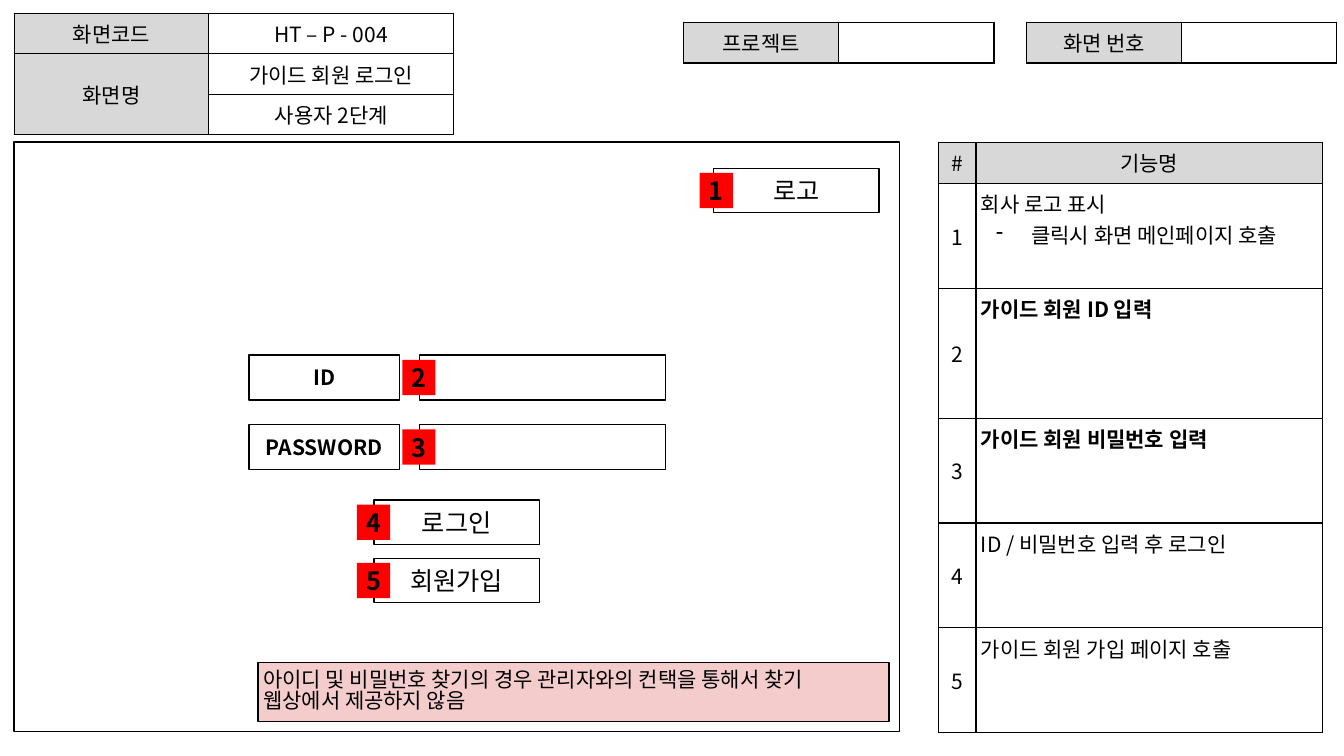
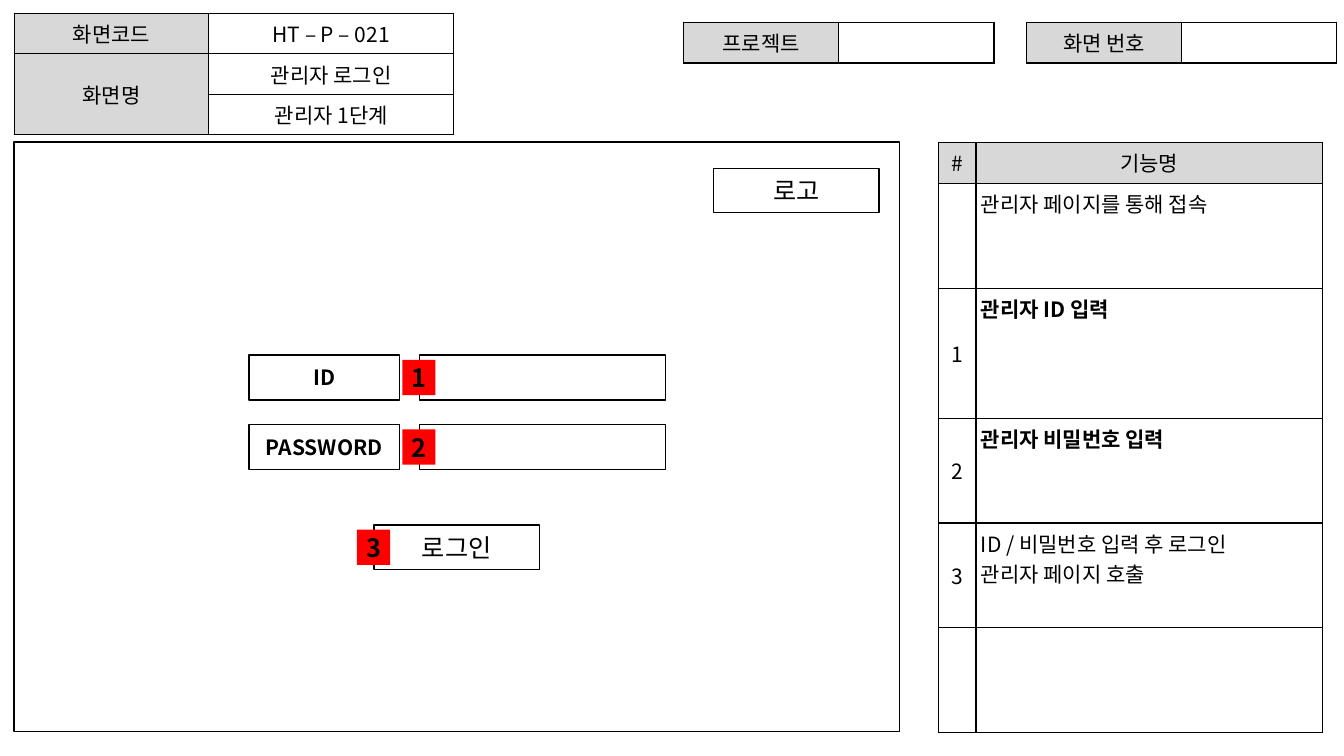
from lxml import etree
from pptx import Presentation
from pptx.dml.color import RGBColor
from pptx.enum import shapes, text
from pptx.oxml import ns
from pptx.util import Inches, Pt

FONT = "Noto Sans CJK KR"
BLACK, WHITE, GREY = "000000", "FFFFFF", "D8D8D8"
RED, PINK = "FF0000", "F4CCCC"
LEFT, CENTER = text.PP_ALIGN.LEFT, text.PP_ALIGN.CENTER
TOP, MIDDLE = text.MSO_ANCHOR.TOP, text.MSO_ANCHOR.MIDDLE
INSET = Inches(0.05)
BADGE_WIDTH, BADGE_HEIGHT = 0.33, 0.35
BUTTON_SIZE = (1.64, 0.44)
LABEL_SIZE = (1.49, 0.45)
FIELD_SIZE = (2.44, 0.45)
ID_TOP, PASSWORD_TOP = 3.52, 4.21


def write_lines(frame, lines, size=15, bold=False, align=CENTER, spacing=None):
    """Write one paragraph per line; a line starting with "- " becomes a bullet."""
    for index, line in enumerate(lines):
        paragraph = frame.add_paragraph() if index else frame.paragraphs[0]
        if line.startswith("- "):
            line = line[2:]
            props = paragraph._p.get_or_add_pPr()
            props.set("marL", str(Inches(0.5)))
            props.set("indent", str(Inches(-0.35)))
            etree.SubElement(props, ns.qn("a:buChar"), char="-")
        paragraph.alignment = align
        if spacing:
            paragraph.line_spacing = spacing
        run = paragraph.add_run()
        run.text = line
        run.font.size = Pt(size)
        run.font.bold = bold
        run.font.color.rgb = RGBColor.from_string(BLACK)
        run.font.name = FONT
        etree.SubElement(run._r.get_or_add_rPr(), ns.qn("a:ea"), typeface=FONT)


def add_box(slide, left, top, width, height, fill=WHITE, outlined=True):
    box = slide.shapes.add_shape(shapes.MSO_SHAPE.RECTANGLE, Inches(left),
                                 Inches(top), Inches(width), Inches(height))
    box.shadow.inherit = False
    box.fill.solid()
    box.fill.fore_color.rgb = RGBColor.from_string(fill)
    if outlined:
        box.line.color.rgb = RGBColor.from_string(BLACK)
        box.line.width = Pt(1)
    else:
        box.line.fill.background()
    frame = box.text_frame
    frame.word_wrap = True
    frame.vertical_anchor = MIDDLE
    frame.margin_left = frame.margin_right = INSET
    frame.margin_top = frame.margin_bottom = INSET
    return box


# Each control: left, top, size, caption, text size, bold, badge left, badge number
screens = [
    {
        "code": "HT – P - 004",
        "name": "가이드 회원 로그인",
        "step": "사용자 2단계",
        "functions": [
            ("1", ["회사 로고 표시", "- 클릭시 화면 메인페이지 호출"]),
            ("2", ["가이드 회원 ID 입력"]),
            ("3", ["가이드 회원 비밀번호 입력"]),
            ("4", ["ID / 비밀번호 입력 후 로그인"]),
            ("5", ["가이드 회원 가입 페이지 호출"]),
        ],
        "controls": [
            (7.08, 1.67, BUTTON_SIZE, "로고", 18, False, 6.94, "1"),
            (4.16, ID_TOP, FIELD_SIZE, "", 15, False, 3.99, "2"),
            (4.16, PASSWORD_TOP, FIELD_SIZE, "", 15, False, 3.99, "3"),
            (3.71, 4.96, BUTTON_SIZE, "로그인", 18, False, 3.54, "4"),
            (3.71, 5.54, BUTTON_SIZE, "회원가입", 18, False, 3.54, "5"),
        ],
        "notice": ["아이디 및 비밀번호 찾기의 경우 관리자와의 컨택을 통해서 찾기",
                   "웹상에서 제공하지 않음"],
    },
    {
        "code": "HT – P – 021",
        "name": "관리자 로그인",
        "step": "관리자 1단계",
        "functions": [
            ("", ["관리자 페이지를 통해 접속"]),
            ("1", ["관리자 ID 입력"]),
            ("2", ["관리자 비밀번호 입력"]),
            ("3", ["ID / 비밀번호 입력 후 로그인", "관리자 페이지 호출"]),
            ("", []),
        ],
        "controls": [
            (7.08, 1.67, BUTTON_SIZE, "로고", 18, False, None, ""),
            (4.16, ID_TOP, FIELD_SIZE, "", 15, False, 3.99, "1"),
            (4.16, PASSWORD_TOP, FIELD_SIZE, "", 15, False, 3.99, "2"),
            (3.71, 5.21, BUTTON_SIZE, "로그인", 18, False, 3.54, "3"),
        ],
        "notice": [],
    },
]
field_labels = [
    (2.47, ID_TOP, LABEL_SIZE, "ID", 15, True, None, ""),
    (2.47, PASSWORD_TOP, LABEL_SIZE, "PASSWORD", 15, True, None, ""),
]

deck = Presentation()
deck.slide_width, deck.slide_height = Inches(13.33), Inches(7.5)

for screen in screens:
    slide = deck.slides.add_slide(deck.slide_layouts[6])
    add_box(slide, 0.14, 1.41, 8.78, 5.85)

    heading = [(["화면코드"], [screen["code"]]),
               (["화면명"], [screen["name"]]),
               ([], [screen["step"]])]
    functions = [(["#"], ["기능명"])]
    functions += [([number] if number else [], lines)
                  for number, lines in screen["functions"]]
    tables = [
        (0.14, 0.13, (1.93, 2.43), (0.4,) * 3, heading),
        (10.18, 0.22, (1.54, 1.54), (0.4,), [(["화면 번호"], [])]),
        (6.78, 0.22, (1.54, 1.54), (0.4,), [(["프로젝트"], [])]),
        (9.31, 1.41, (0.37, 3.44), (0.41, 1.04, 1.29, 1.04, 1.04, 1.04), functions),
    ]
    for left, top, widths, heights, rows in tables:
        table = slide.shapes.add_table(
            len(rows), len(widths), Inches(left), Inches(top),
            Inches(sum(widths)), Inches(sum(heights))).table
        table.first_row = table.horz_banding = False
        for column, width in zip(table.columns, widths):
            column.width = Inches(width)
        for r, (height, row) in enumerate(zip(heights, rows)):
            table.rows[r].height = Inches(height)
            for c, lines in enumerate(row):
                cell = table.cell(r, c)
                cell.margin_left = cell.margin_right = INSET
                cell.margin_top = cell.margin_bottom = INSET
                for side in ("lnL", "lnR", "lnT", "lnB"):
                    border = etree.SubElement(cell._tc.get_or_add_tcPr(),
                                              ns.qn("a:" + side), w=str(Pt(1)))
                    paint = etree.SubElement(border, ns.qn("a:solidFill"))
                    etree.SubElement(paint, ns.qn("a:srgbClr"), val=BLACK)
                is_label = r == 0 if rows is functions else c == 0
                is_description = rows is functions and r > 0 and c == 1
                cell.fill.solid()
                cell.fill.fore_color.rgb = RGBColor.from_string(
                    GREY if is_label else WHITE)
                cell.vertical_anchor = TOP if is_description else MIDDLE
                write_lines(cell.text_frame, lines,
                            bold=is_description and r in (2, 3),
                            align=LEFT if is_description else CENTER)
        if rows is heading:
            table.cell(1, 0).merge(table.cell(2, 0))

    for (left, top, (width, height), caption, size, bold,
         badge_left, number) in field_labels + screen["controls"]:
        control = add_box(slide, left, top, width, height)
        if caption:
            write_lines(control.text_frame, [caption], size, bold)
        if number:
            badge = add_box(slide, badge_left, top + (height - BADGE_HEIGHT) / 2,
                            BADGE_WIDTH, BADGE_HEIGHT, RED, outlined=False)
            write_lines(badge.text_frame, [number], 18, True)

    if screen["notice"]:
        notice = add_box(slide, 2.56, 6.57, 6.26, 0.59, PINK)
        write_lines(notice.text_frame, screen["notice"], align=LEFT, spacing=0.83)

deck.save("out.pptx")
